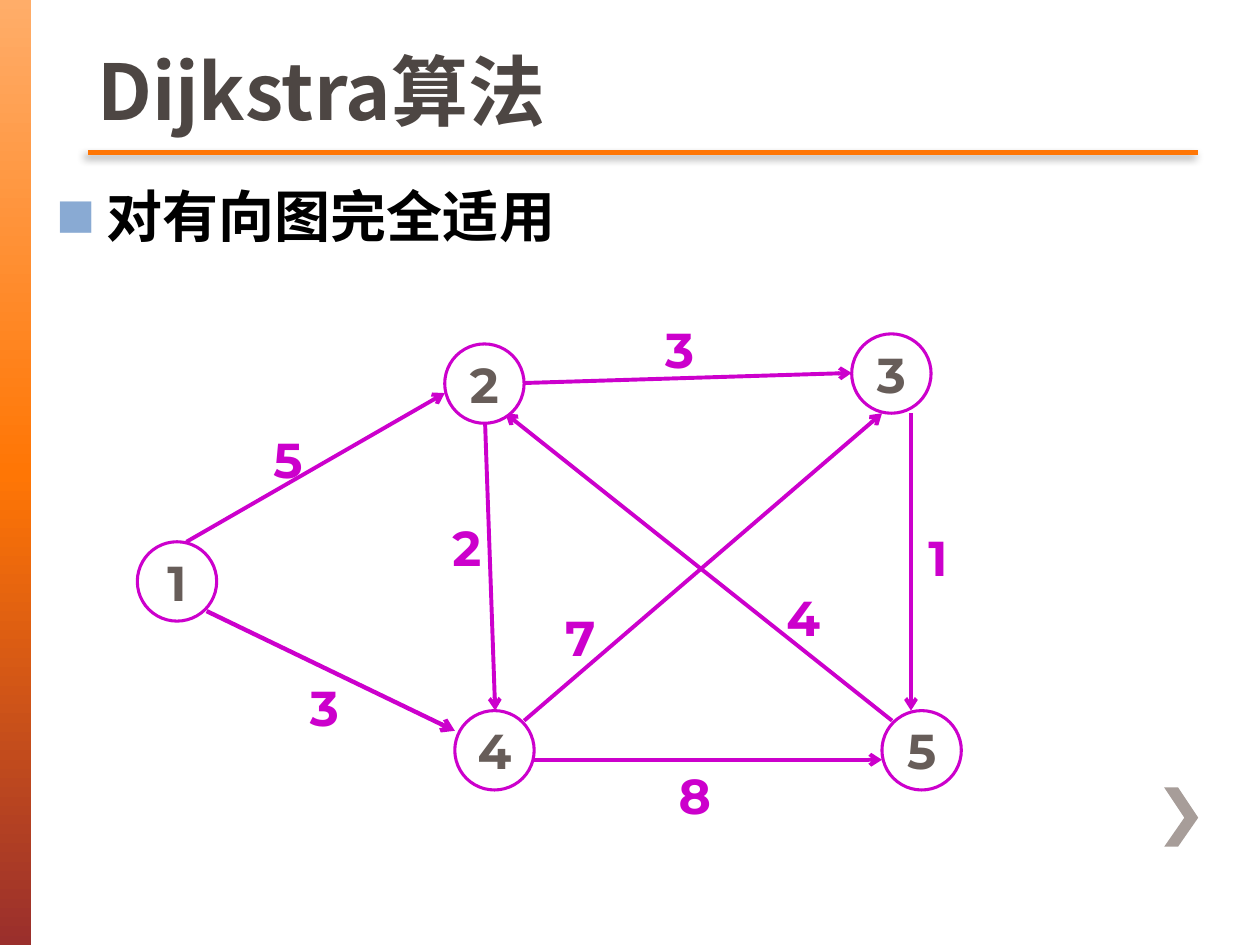
from lxml import etree
from pptx import Presentation
from pptx.dml.color import RGBColor
from pptx.enum.shapes import MSO_CONNECTOR, MSO_SHAPE
from pptx.enum.text import MSO_ANCHOR, PP_ALIGN
from pptx.oxml.ns import qn
from pptx.util import Inches, Pt

STRAIGHT = MSO_CONNECTOR.STRAIGHT
RECT, OVAL = MSO_SHAPE.RECTANGLE, MSO_SHAPE.OVAL
MIDDLE, BOTTOM, TOP = MSO_ANCHOR.MIDDLE, MSO_ANCHOR.BOTTOM, MSO_ANCHOR.TOP
LEFT, CENTER = PP_ALIGN.LEFT, PP_ALIGN.CENTER

COLORS = {
    "title": "4D4643", "text": "000000", "bullet": "89AAD3",
    "node": "675D59", "edge": "CC00CC", "white": "FFFFFF",
    "rule": "FF7605", "chevron": "A79D99", "shadow": "000000",
    "bar_top": "FFAD69", "bar_mid": "FF7605", "bar_end": "9A2F2C",
}
LATIN, SERIF, CJK = "Montserrat", "Times New Roman", "Noto Sans CJK SC"
NODE_SIZE = 0.63


def rgb(name):
    """Return the palette colour as an RGBColor."""
    return RGBColor.from_string(COLORS[name])


def add_xml(parent, tag, **attrs):
    """Append a DrawingML element and return it."""
    return etree.SubElement(parent, qn(tag), {k: str(v) for k, v in attrs.items()})


class SlideBuilder:
    """Holds the style and the current slide."""

    def __init__(self, slide):
        self.slide = slide
        self.shapes = slide.shapes

    def put_text(self, sp, text, size, color, font=LATIN, align=CENTER,
                 anchor=TOP, wrap=True):
        """Put one bold run into a shape and return its paragraph."""
        tf = sp.text_frame
        tf.word_wrap = wrap
        tf.vertical_anchor = anchor
        p = tf.paragraphs[0]
        p.alignment = align
        r = p.add_run()
        r.text = text
        r.font.size, r.font.bold, r.font.name = Pt(size), True, font
        r.font.color.rgb = rgb(color)
        add_xml(r.font._element, "a:ea", typeface=CJK)
        return p

    def title(self, text, left, top, width, height):
        """Place and fill the title placeholder."""
        sp = self.shapes.title
        sp.left, sp.top = Inches(left), Inches(top)
        sp.width, sp.height = Inches(width), Inches(height)
        self.put_text(sp, text, 44, "title", CJK, LEFT, BOTTOM)

    def text_box(self, left, top, width, height):
        """Add an empty text box."""
        return self.shapes.add_textbox(Inches(left), Inches(top),
                                       Inches(width), Inches(height))

    def bullet(self, text, left, top, width, height):
        """Add a line of text with a square bullet."""
        sp = self.text_box(left, top, width, height)
        p = self.put_text(sp, text, 32, "text", SERIF, LEFT)
        p.space_before = Pt(6.4)
        pPr = p._p.get_or_add_pPr()
        pPr.set("marL", str(Inches(0.4)))
        pPr.set("indent", str(-Inches(0.4)))
        add_xml(add_xml(pPr, "a:buClr"), "a:srgbClr", val=COLORS["bullet"])
        add_xml(pPr, "a:buSzPct", val=70000)
        add_xml(pPr, "a:buFont", typeface=CJK)
        add_xml(pPr, "a:buChar", char="■")

    def weight(self, text, left, top, width):
        """Add an edge weight."""
        self.put_text(self.text_box(left, top, width, 0.57), text, 28, "edge")

    def node(self, text, left, top):
        """Add a numbered graph node."""
        sp = self.shapes.add_shape(OVAL, Inches(left), Inches(top),
                                   Inches(NODE_SIZE), Inches(NODE_SIZE))
        sp.shadow.inherit = False
        sp.fill.solid()
        sp.fill.fore_color.rgb = rgb("white")
        sp.line.color.rgb = rgb("edge")
        sp.line.width = Pt(1.75)
        self.put_text(sp, text, 28, "node", anchor=MIDDLE, wrap=False)

    def line(self, start, end, color, width):
        """Add a straight line; return it with its empty effect list."""
        sp = self.shapes.add_connector(STRAIGHT, *map(Inches, start + end))
        sp.line.color.rgb = rgb(color)
        sp.line.width = Pt(width)
        return sp, add_xml(sp._element.spPr, "a:effectLst")

    def edge(self, start, end, width=2.25):
        """Add a directed edge with an open arrowhead."""
        sp, _ = self.line(start, end, "edge", width)
        add_xml(sp.line._get_or_add_ln(), "a:tailEnd", type="arrow")

    def rule(self, start, end):
        """Add the shadowed line below the title."""
        _, effects = self.line(start, end, "rule", 2.5)
        shadow = add_xml(effects, "a:outerShdw", blurRad=Pt(5), dist=Pt(3),
                         dir=135 * 60000, algn="tr", rotWithShape=0)
        color = add_xml(shadow, "a:srgbClr", val=COLORS["shadow"])
        add_xml(color, "a:alpha", val=45000)

    def side_bar(self, width, height):
        """Add the bar at the left with a three-colour vertical gradient."""
        sp = self.shapes.add_shape(RECT, 0, 0, Inches(width), Inches(height))
        sp.shadow.inherit = False
        sp.line.fill.background()
        sp.fill.gradient()
        grad = sp._element.spPr.find(qn("a:gradFill"))
        for child in list(grad):
            grad.remove(child)
        stops = add_xml(grad, "a:gsLst")
        for pos, name in ((0, "bar_top"), (50, "bar_mid"), (100, "bar_end")):
            stop = add_xml(stops, "a:gs", pos=pos * 1000)
            add_xml(stop, "a:srgbClr", val=COLORS[name])
        add_xml(grad, "a:lin", ang=90 * 60000, scaled=0)

    def chevron(self, points):
        """Add the chevron in the corner."""
        pts = [(Inches(x), Inches(y)) for x, y in points]
        builder = self.shapes.build_freeform(*pts[0], scale=1.0)
        builder.add_line_segments(pts[1:], close=True)
        sp = builder.convert_to_shape()
        sp.shadow.inherit = False
        sp.fill.solid()
        sp.fill.fore_color.rgb = rgb("chevron")
        sp.line.fill.background()


NODES = [("1", 1.09, 4.3), ("2", 3.53, 2.73), ("3", 6.76, 2.65),
         ("4", 3.61, 5.64), ("5", 7, 5.64)]
EDGES = [((1.48, 4.3), (3.53, 3.12)), ((1.64, 4.85), (3.61, 5.8), 2.5),
         ((4.16, 3.04), (6.76, 2.96)), ((7.08, 5.72), (4.01, 3.28)),
         ((3.85, 3.36), (3.93, 5.64)), ((4.24, 6.03), (7, 6.03)),
         ((7.23, 3.28), (7.23, 5.64)), ((4.16, 5.72), (7, 3.28))]
WEIGHTS = [("5", 2.04, 3.36, 0.49), ("3", 2.17, 5.33, 0.81),
           ("2", 3.38, 4.06, 0.65), ("8", 5.03, 6.03, 0.97),
           ("4", 5.97, 4.61, 0.81), ("7", 4.32, 4.77, 0.57),
           ("3", 5.03, 2.49, 0.73), ("1", 7, 4.14, 0.89)]


def main():
    """Build the slide and save it."""
    prs = Presentation()
    prs.slide_width, prs.slide_height = Inches(10), Inches(7.5)
    page = SlideBuilder(prs.slides.add_slide(prs.slide_layouts[5]))
    page.side_bar(0.25, 7.5)
    page.chevron([(9.35, 6.25), (9.24, 6.25), (9.4, 6.49),
                  (9.24, 6.72), (9.35, 6.72), (9.51, 6.49)])
    page.rule((0.7, 1.21), (9.51, 1.21))
    for edge in EDGES:
        page.edge(*edge)
    for node in NODES:
        page.node(*node)
    for weight in WEIGHTS:
        page.weight(*weight)
    page.bullet("对有向图完全适用", 0.35, 1.39, 9.65, 0.63)
    page.title("Dijkstra算法", 0.67, 0, 8.81, 1.13)
    prs.save("out.pptx")


main()
